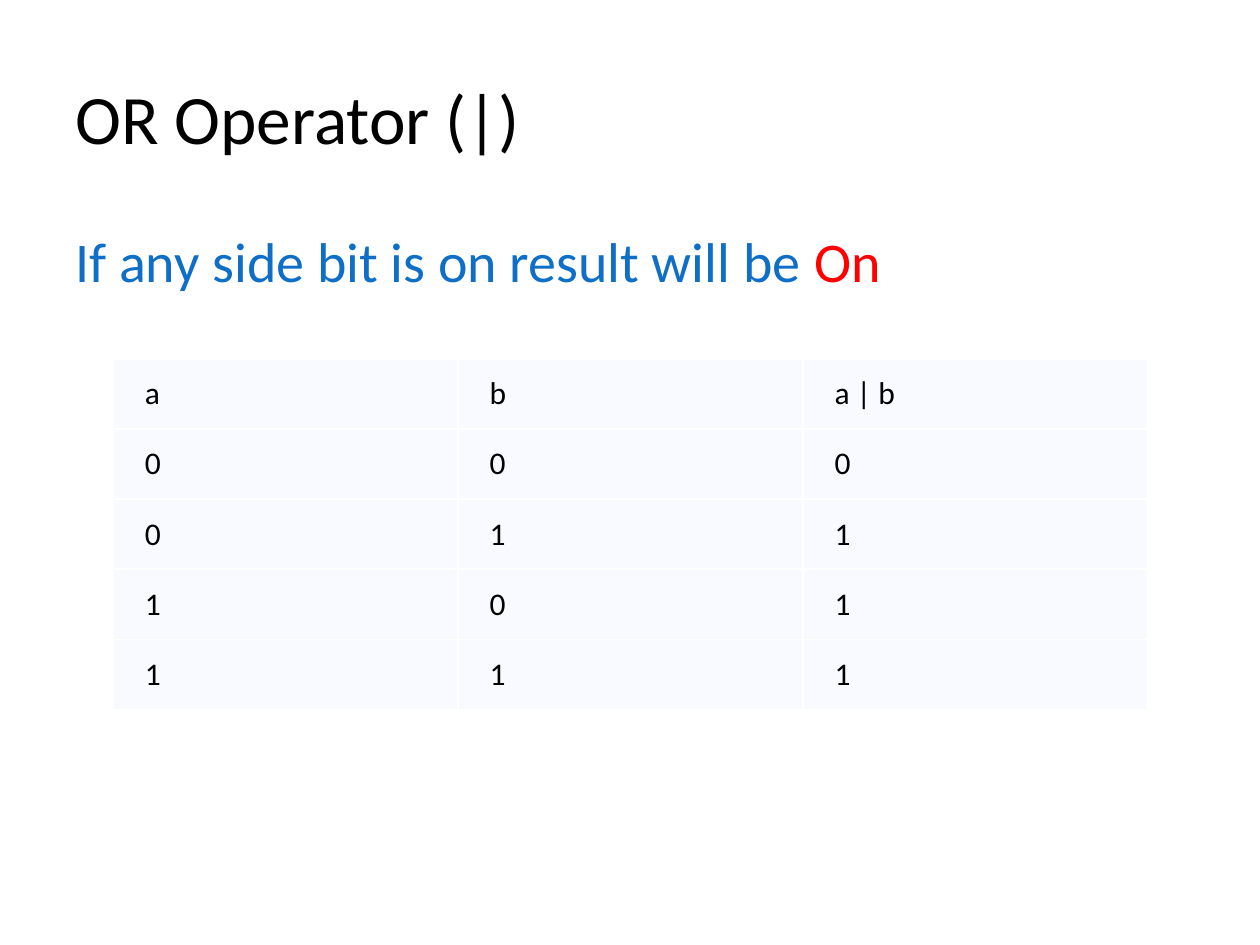
from dataclasses import dataclass

from pptx import Presentation
from pptx.dml.color import RGBColor
from pptx.enum.text import MSO_ANCHOR, MSO_AUTO_SIZE, PP_ALIGN
from pptx.util import Inches, Pt


@dataclass(frozen=True)
class Theme:
    """Colours, type sizes and font of the slide."""
    font: str = "Calibri"
    ink: str = "000000"
    accent: str = "0F6FC6"
    alert: str = "FF0000"
    cell: str = "F8FAFF"
    title_size: float = 39.6
    body_size: float = 32
    cell_size: float = 18


THEME = Theme()
WIDTH, HEIGHT = 10, 7.5
TITLE_BOX = (0.05 * WIDTH, 0.04 * HEIGHT, 0.9 * WIDTH, 1.25)
RULE_BOX = (0.05 * WIDTH, 1.75, 0.9 * WIDTH, 3.83)
TRUTH_BOX = (0.9, 2.85, 8.21, 2.78)
TRUTH_ROWS = [("a", "b", "a | b")] + [
    (str(a), str(b), str(a | b)) for a in (0, 1) for b in (0, 1)
]


def add_text(paragraph, text, size=THEME.cell_size, color=THEME.ink):
    """Append a formatted run to a paragraph."""
    paragraph.alignment = PP_ALIGN.LEFT
    run = paragraph.add_run()
    run.text = text
    run.font.name = THEME.font
    run.font.size = Pt(size)
    run.font.color.rgb = RGBColor.from_string(color)


def place_title(slide, box, text):
    """Move the title placeholder into the box and fill it."""
    title = slide.shapes.title
    title.left, title.top, title.width, title.height = map(Inches, box)
    frame = title.text_frame
    frame.auto_size = MSO_AUTO_SIZE.NONE
    frame.vertical_anchor = MSO_ANCHOR.MIDDLE
    add_text(frame.paragraphs[0], text, size=THEME.title_size)


def place_rule(slide, box, statement, result):
    """Write the operator's rule with its result highlighted."""
    frame = slide.shapes.add_textbox(*map(Inches, box)).text_frame
    frame.word_wrap = True
    sentence = frame.paragraphs[0]
    add_text(sentence, statement, size=THEME.body_size, color=THEME.accent)
    add_text(sentence, result, size=THEME.body_size, color=THEME.alert)


def place_truth_table(slide, box, rows):
    """Draw the truth table as equal columns and rows in the box."""
    table = slide.shapes.add_table(
        len(rows), len(rows[0]), *map(Inches, box)
    ).table
    table.first_row = table.horz_banding = False
    for r, values in enumerate(rows):
        for c, value in enumerate(values):
            cell = table.cell(r, c)
            cell.fill.solid()
            cell.fill.fore_color.rgb = RGBColor.from_string(THEME.cell)
            cell.margin_left = cell.margin_right = Inches(0.25)
            cell.margin_top = cell.margin_bottom = Inches(0.12)
            cell.vertical_anchor = MSO_ANCHOR.MIDDLE
            add_text(cell.text_frame.paragraphs[0], value)


def main():
    """Build and save the slide."""
    deck = Presentation()
    deck.slide_width, deck.slide_height = Inches(WIDTH), Inches(HEIGHT)
    slide = deck.slides.add_slide(deck.slide_layouts.get_by_name("Title Only"))
    place_title(slide, TITLE_BOX, "OR Operator (|)")
    place_rule(slide, RULE_BOX, "If any side bit is on result will be ", "On")
    place_truth_table(slide, TRUTH_BOX, TRUTH_ROWS)
    deck.save("out.pptx")


if __name__ == "__main__":
    main()
